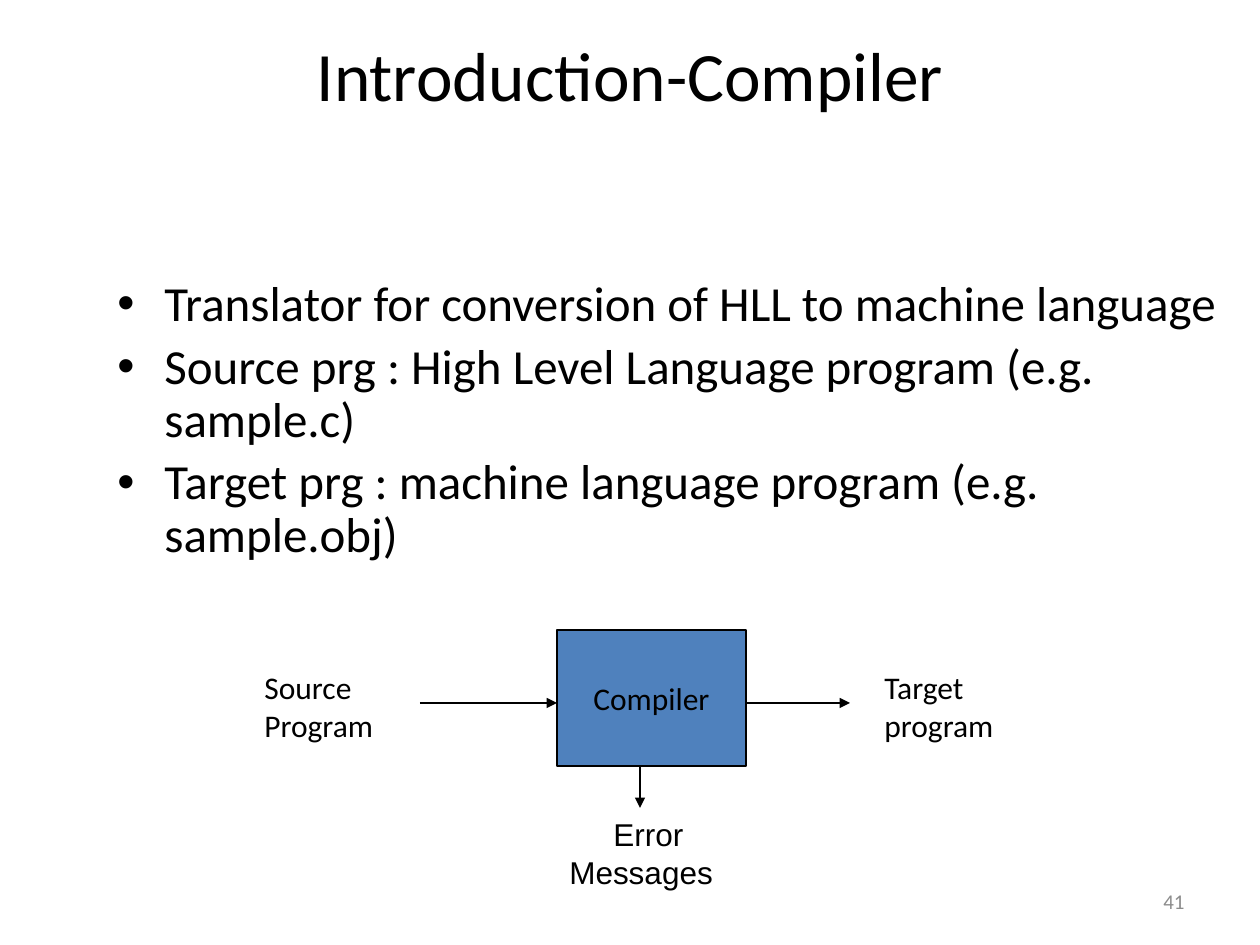
import pptx
import pptx.dml.color
import pptx.enum.shapes
import pptx.enum.text
import pptx.oxml.ns
import pptx.util
from lxml import etree

EMU_PER_PX = 914400 // 126
ALIGN = pptx.enum.text.PP_ALIGN
ANCHOR = pptx.enum.text.MSO_ANCHOR
BLACK = "000000"


def px(length):
    return pptx.util.Emu(length * EMU_PER_PX)


def color(value):
    return pptx.dml.color.RGBColor.from_string(value)


def add_xml(parent, tag, **attributes):
    return etree.SubElement(parent, pptx.oxml.ns.qn(tag), **attributes)


def write(frame, text, size=18, font="Calibri", fill=BLACK, align=ALIGN.LEFT,
          anchor=ANCHOR.TOP, wrap=True, bullet=None, margin=0, indent=0,
          line_spacing=None, space_before=0):
    """Fill a text frame, one paragraph per line of text."""
    frame.word_wrap = wrap
    frame.vertical_anchor = anchor
    for number, line in enumerate(text.split("\n")):
        paragraph = frame.add_paragraph() if number else frame.paragraphs[0]
        paragraph.alignment = align
        paragraph.space_before = pptx.util.Pt(space_before)
        if line_spacing:
            paragraph.line_spacing = line_spacing
        run = paragraph.add_run()
        run.text = line
        run.font.size = pptx.util.Pt(size)
        run.font.name = font
        run.font.color.rgb = color(fill)
        properties = paragraph._p.get_or_add_pPr()
        properties.set("marL", str(px(margin)))
        properties.set("indent", str(px(indent)))
        if bullet:
            add_xml(properties, "a:buFont", typeface="Arial")
            add_xml(properties, "a:buChar", char=bullet)


def add_label(slide, box, text, **text_format):
    label = slide.shapes.add_textbox(*map(px, box))
    write(label.text_frame, text, **text_format)


def add_block(slide, box, text, fill):
    block = slide.shapes.add_shape(
        pptx.enum.shapes.MSO_SHAPE.RECTANGLE, *map(px, box))
    block.shadow.inherit = False
    block.fill.solid()
    block.fill.fore_color.rgb = color(fill)
    block.line.color.rgb = color(BLACK)
    block.line.width = pptx.util.Pt(0.75)
    write(block.text_frame, text, align=ALIGN.CENTER, anchor=ANCHOR.MIDDLE,
          wrap=False)


def add_arrow(slide, *ends):
    arrow = slide.shapes.add_connector(
        pptx.enum.shapes.MSO_CONNECTOR.STRAIGHT, *map(px, ends))
    arrow.line.color.rgb = color(BLACK)
    arrow.line.width = pptx.util.Pt(0.75)
    add_xml(arrow.line._get_or_add_ln(), "a:tailEnd", type="triangle")
    add_xml(arrow._element.spPr, "a:effectLst")


def add_compiler_diagram(slide):
    left, top, width, height = compiler = (557, 630, 189, 136)
    right, bottom = left + width, top + height
    flow_y = 703
    error_x = 640
    add_block(slide, compiler, "Compiler", "4F81BD")
    add_arrow(slide, 420, flow_y, left, flow_y)
    add_arrow(slide, right, flow_y, 850, flow_y)
    add_arrow(slide, error_x, bottom, error_x, 808)
    add_label(slide, (252, 662, 158, 88), "Source\nProgram")
    add_label(slide, (872, 662, 147, 88), "Target\nprogram")
    add_label(slide, (left, 809, 179, 88), "Error Messages", font="Arial",
              indent=44)


def main():
    deck = pptx.Presentation()
    deck.slide_width, deck.slide_height = px(1260), px(945)
    slide = deck.slides.add_slide(deck.slide_layouts[6])
    add_label(slide, (903, 876, 294, 50), "41", size=12, fill="8C8C8C",
              align=ALIGN.RIGHT, anchor=ANCHOR.MIDDLE)
    add_label(slide, (63, 26, 1134, 158), "Introduction-Compiler", size=39.6,
              align=ALIGN.CENTER)
    add_label(slide, (105, 273, 1155, 336),
              "Translator for conversion of HLL to machine language\n"
              "Source prg : High Level Language program (e.g. sample.c)\n"
              "Target prg : machine language program (e.g. sample.obj)",
              size=28, bullet="•", margin=47, indent=-47, line_spacing=0.9,
              space_before=5.6)
    add_compiler_diagram(slide)
    deck.save("out.pptx")


if __name__ == "__main__":
    main()
